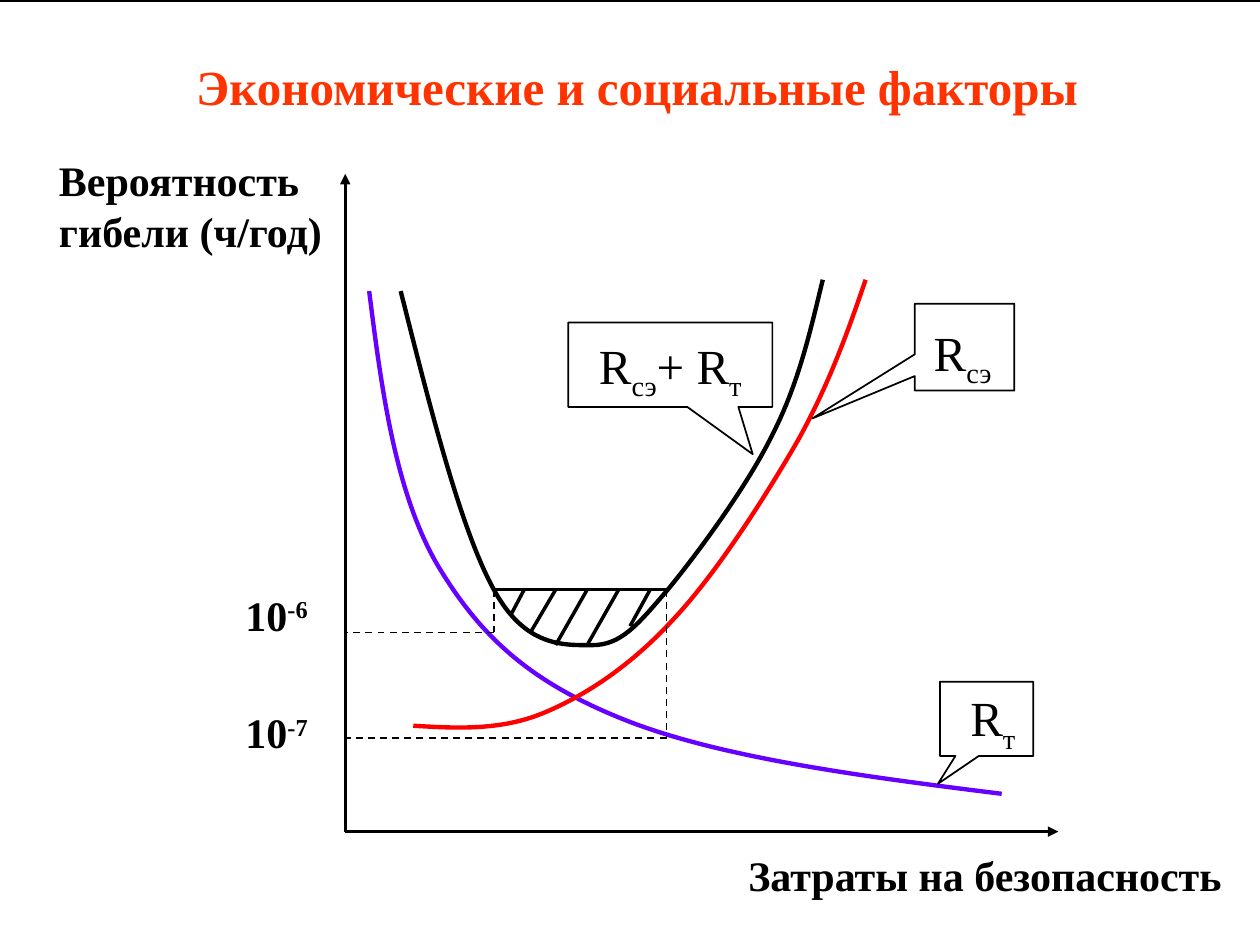
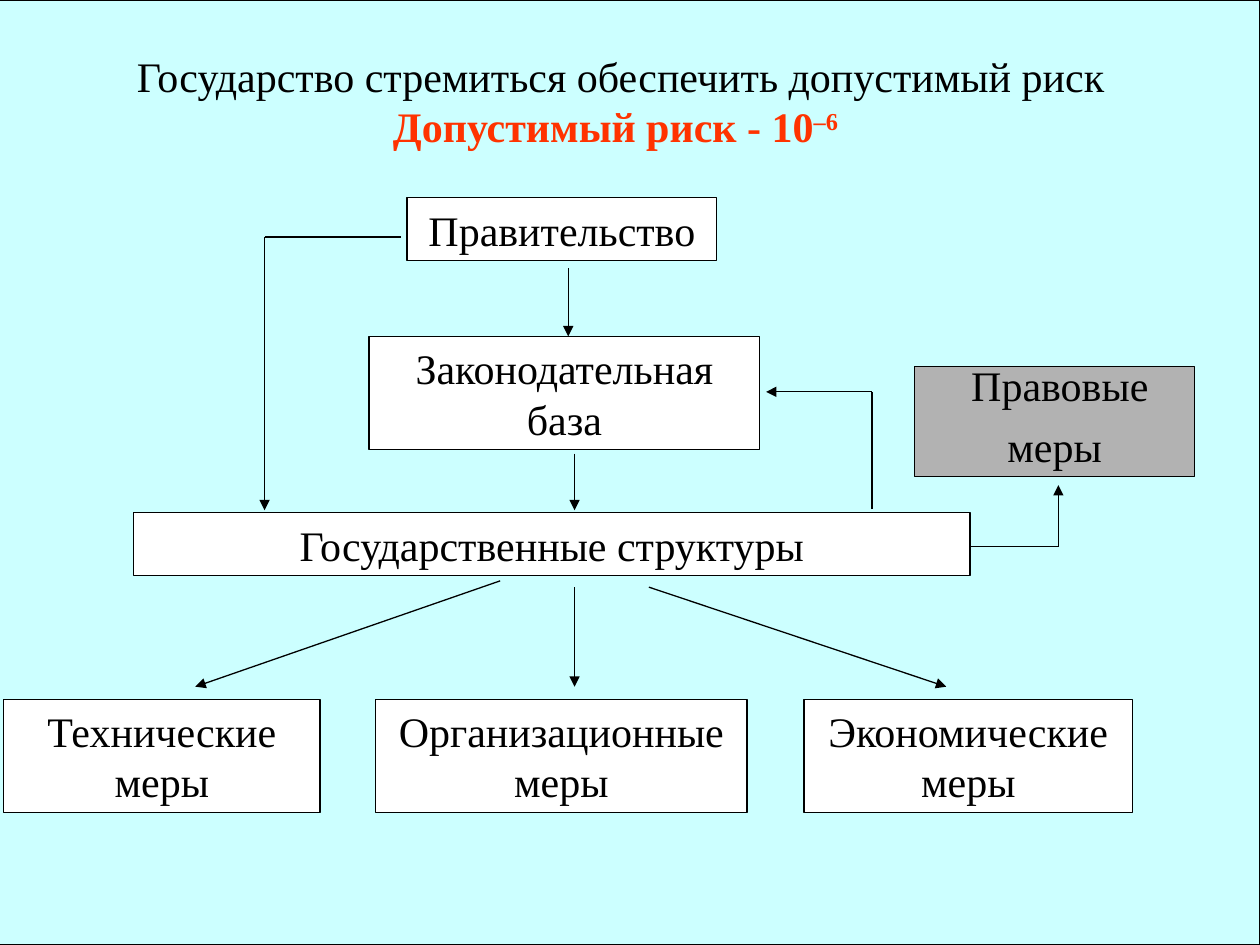
from dataclasses import dataclass
from typing import Any

from lxml import etree
from pptx import Presentation
from pptx.dml.color import RGBColor
from pptx.enum import dml, shapes, text
from pptx.oxml import ns
from pptx.util import Inches, Pt

FONT = "Times New Roman"
BLACK, WHITE, ACCENT = "000000", "FFFFFF", "FF3300"
TECH_RISK, SOCIAL_RISK = "6600FF", "FF0000"
SKY, GREY = "CCFFFF", "B2B2B2"
SUB, SUPER = -25, 30
CENTER, LEFT = text.PP_ALIGN.CENTER, text.PP_ALIGN.LEFT
RECT = shapes.MSO_SHAPE.RECTANGLE
CALLOUT = shapes.MSO_SHAPE.RECTANGULAR_CALLOUT


def rgb(value):
    return RGBColor.from_string(value)


def outline(shape, color, width, fill=None):
    shape.shadow.inherit = False
    if fill:
        shape.fill.solid()
        shape.fill.fore_color.rgb = rgb(fill)
    else:
        shape.fill.background()
    shape.line.color.rgb = rgb(color)
    shape.line.width = Pt(width)


def write(shape, paragraphs, size=24, align=CENTER, anchor=text.MSO_ANCHOR.TOP,
          bold=False, color=BLACK, gap=0, spacing=None, left_inset=0.1):
    """Each paragraph is a list of (words, overrides) runs."""
    frame = shape.text_frame
    frame.word_wrap = True
    frame.auto_size = text.MSO_AUTO_SIZE.SHAPE_TO_FIT_TEXT
    frame.vertical_anchor = anchor
    frame.margin_left = Inches(left_inset)
    for i, runs in enumerate(paragraphs):
        paragraph = frame.add_paragraph() if i else frame.paragraphs[0]
        paragraph.alignment = align
        if i and gap:
            paragraph.space_before = Pt(gap)
        if spacing:
            paragraph.line_spacing = spacing
        for words, style in runs:
            run = paragraph.add_run()
            run.text = words
            font = run.font
            font.name, font.size = FONT, Pt(size)
            font.bold = style.get("bold", bold)
            font.color.rgb = rgb(style.get("color", color))
            if "base" in style:
                run._r.get_or_add_rPr().set("baseline", str(style["base"] * 1000))


def plain(words):
    return [[(words, {})]]


def bend(freeform):
    """Turn every three straight segments of the outline into one cubic curve."""
    segments = list(freeform._element.iter(ns.qn("a:lnTo")))
    for i in range(0, len(segments), 3):
        cubic = etree.Element(ns.qn("a:cubicBezTo"))
        segments[i].addprevious(cubic)
        for segment in segments[i:i + 3]:
            cubic.append(segment[0])
            segment.getparent().remove(segment)


@dataclass
class Region:
    """Places parts, in inches, relative to its top left corner."""
    slide: Any
    left: float = 0
    top: float = 0

    def at(self, x, y):
        return Inches(self.left + x), Inches(self.top + y)

    def shape(self, kind, x, y, width, height, fill=None, line_width=0.75):
        shape = self.slide.shapes.add_shape(kind, *self.at(x, y), Inches(width), Inches(height))
        outline(shape, BLACK, line_width, fill)
        return shape

    def label(self, x, y, width, height, paragraphs, **style):
        label = self.slide.shapes.add_textbox(*self.at(x, y), Inches(width), Inches(height))
        write(label, paragraphs, **style)

    def block(self, x, y, width, height, paragraphs, fill=WHITE, **style):
        block = self.shape(RECT, x, y, width, height, fill)
        write(block, paragraphs, anchor=text.MSO_ANCHOR.MIDDLE, **style)

    def route(self, *points, width=0.75, arrow=False, dash=False):
        """Straight lines through the points; the arrowhead sits on the last one."""
        for start, end in zip(points, points[1:]):
            line = self.slide.shapes.add_connector(
                shapes.MSO_CONNECTOR.STRAIGHT, *self.at(*start), *self.at(*end))
            line.line.color.rgb = rgb(BLACK)
            line.line.width = Pt(width)
            if dash:
                line.line.dash_style = dml.MSO_LINE.DASH
            etree.SubElement(line._element.spPr, ns.qn("a:effectLst"))
        if arrow:
            etree.SubElement(line.line._get_or_add_ln(), ns.qn("a:tailEnd"), type="triangle")

    def curve(self, color, points):
        """Points are a start, then two handles and an end for each cubic curve."""
        start, *rest = [self.at(*point) for point in points]
        builder = self.slide.shapes.build_freeform(*start)
        builder.add_line_segments(rest, close=False)
        freeform = builder.convert_to_shape()
        bend(freeform)
        outline(freeform, color, 2.5)


def new_slide(deck, x, y, fill, line_width):
    slide = deck.slides.add_slide(deck.slide_layouts[6])
    page = Region(slide)
    page.shape(RECT, x, y, 10.2, 7.5, fill, line_width)
    return page


def axes(plot):
    plot.route((0, 5.22), (5.66, 5.22), width=1.5, arrow=True)
    plot.route((0, 5.22), (0, 0), width=1.5, arrow=True)
    plot.label(3.1, 5.31, 4.02, 0.5, plain("Затраты на безопасность"), align=LEFT, bold=True)
    plot.label(-2.37, -0.2, 2.64, 0.9, plain("Вероятность гибели (ч/год)"), align=LEFT, bold=True)


def risk_curves(plot):
    plot.curve(TECH_RISK, [
        (0.19, 0.93), (0.29, 1.73), (0.4, 2.53), (0.73, 3.1), (1.07, 3.67),
        (1.46, 4.03), (2.21, 4.33), (2.96, 4.63), (4.08, 4.78), (5.21, 4.92)])
    plot.curve(SOCIAL_RISK, [
        (0.54, 4.38), (0.88, 4.4), (1.23, 4.42), (1.57, 4.28), (1.91, 4.14),
        (2.27, 3.9), (2.6, 3.54), (2.94, 3.18), (3.33, 2.57), (3.59, 2.12),
        (3.84, 1.67), (3.99, 1.25), (4.13, 0.84)])
    plot.curve(BLACK, [
        (0.44, 0.93), (0.68, 1.88), (0.92, 2.83), (1.18, 3.3), (1.43, 3.76),
        (1.74, 3.74), (1.96, 3.74), (2.19, 3.74), (2.32, 3.58), (2.56, 3.3),
        (2.79, 3.02), (3.19, 2.48), (3.39, 2.07), (3.6, 1.66), (3.69, 1.25), (3.79, 0.84)])


def curve_callouts(plot):
    social, technical = ("сэ", {"base": SUB}), ("т", {"base": SUB})
    risk = ("R", {})
    callouts = [
        ((4.72, 4.03, 0.74, 0.59), (-0.521, 0.874), (4.72, 4.03, 0.84), [risk, technical]),
        ((4.52, 1.03, 0.79, 0.69), (-1.529, 0.821), (4.48, 1.13, 0.84), [risk, social]),
        ((1.77, 1.18, 1.62, 0.67), (0.404, 1.06), (1.77, 1.23, 1.62),
         [risk, social, ("+ R", {}), technical]),
    ]
    for box, tip, symbol_box, symbol in callouts:
        callout = plot.shape(CALLOUT, *box, line_width=1)
        callout.adjustments[0], callout.adjustments[1] = tip
        plot.label(*symbol_box, 0.63, [symbol], size=28)


def acceptable_zone(plot):
    left, right, level = 1.18, 2.55, 3.3
    plot.route((left, level), (right, level), width=2)
    hatch_feet = [(1.32, 3.49), (1.47, 3.64), (1.67, 3.74), (1.92, 3.74), (2.26, 3.59)]
    for i, foot in enumerate(hatch_feet):
        plot.route((1.42 + 0.25 * i, level), foot, width=2)
    for x, y, label_top, power in [(left, 3.64, 3.25, "-6"), (right, 4.48, 4.18, "-7")]:
        plot.route((x, level), (x, y), (0, y), width=1, dash=True)
        plot.label(-0.89, label_top, 0.74, 0.5, [[("10", {}), (power, {"base": SUPER})]],
                   align=LEFT, bold=True)


def factors_slide(deck):
    page = new_slide(deck, -0.02, 0.01, WHITE, 1.25)
    plot = Region(page.slide, 2.74, 1.38)
    axes(plot)
    risk_curves(plot)
    curve_callouts(plot)
    acceptable_zone(plot)
    page.label(0.52, 0.4, 8.91, 0.57, plain("Экономические и социальные факторы"),
               size=28, bold=True, color=ACCENT, left_inset=0.26)


def authorities(chart):
    chart.block(3.23, 0, 2.46, 0.5, plain("Правительство"))
    chart.block(2.93, 1.1, 3.1, 0.9, plain("Законодательная база"))
    chart.block(1.06, 2.5, 6.64, 0.5, plain("Государственные структуры"))
    chart.block(7.26, 1.34, 2.22, 0.87, plain(" Правовые") + plain("меры"),
                fill=GREY, gap=15, spacing=0.7)

    chart.route((4.51, 0.56), (4.51, 1.1), arrow=True)
    chart.route((4.56, 2.03), (4.56, 2.48), arrow=True)
    chart.route((3.18, 0.31), (2.1, 0.31), (2.1, 2.48), arrow=True)
    chart.route((6.92, 2.47), (6.92, 1.54), (6.08, 1.54), arrow=True)
    chart.route((7.71, 2.77), (8.4, 2.77), (8.4, 2.28), arrow=True)


def measures(chart):
    for x, width, kind, start, end_x in [
            (0.03, 2.51, "Технические", (3.97, 3.04), 1.55),
            (2.98, 2.95, "Организационные", (4.56, 3.09), 4.56),
            (6.38, 2.61, "Экономические", (5.15, 3.09), 7.51)]:
        chart.block(x, 3.98, width, 0.9, plain(f"{kind} меры"))
        chart.route(start, (end_x, 3.88), arrow=True)


def state_slide(deck):
    page = new_slide(deck, -0.2, 0, SKY, 0.75)
    accent = {"bold": True, "color": ACCENT}
    page.label(0, 0.35, 9.77, 0.9, [
        [(" Государство стремиться обеспечить допустимый риск", {})],
        [("Допустимый риск - 10", accent), ("–6", {**accent, "base": SUPER})]])
    chart = Region(page.slide, 0, 1.57)
    authorities(chart)
    measures(chart)


def main():
    deck = Presentation()
    deck.slide_width, deck.slide_height = Inches(10), Inches(7.5)
    factors_slide(deck)
    state_slide(deck)
    deck.save("out.pptx")


if __name__ == "__main__":
    main()
